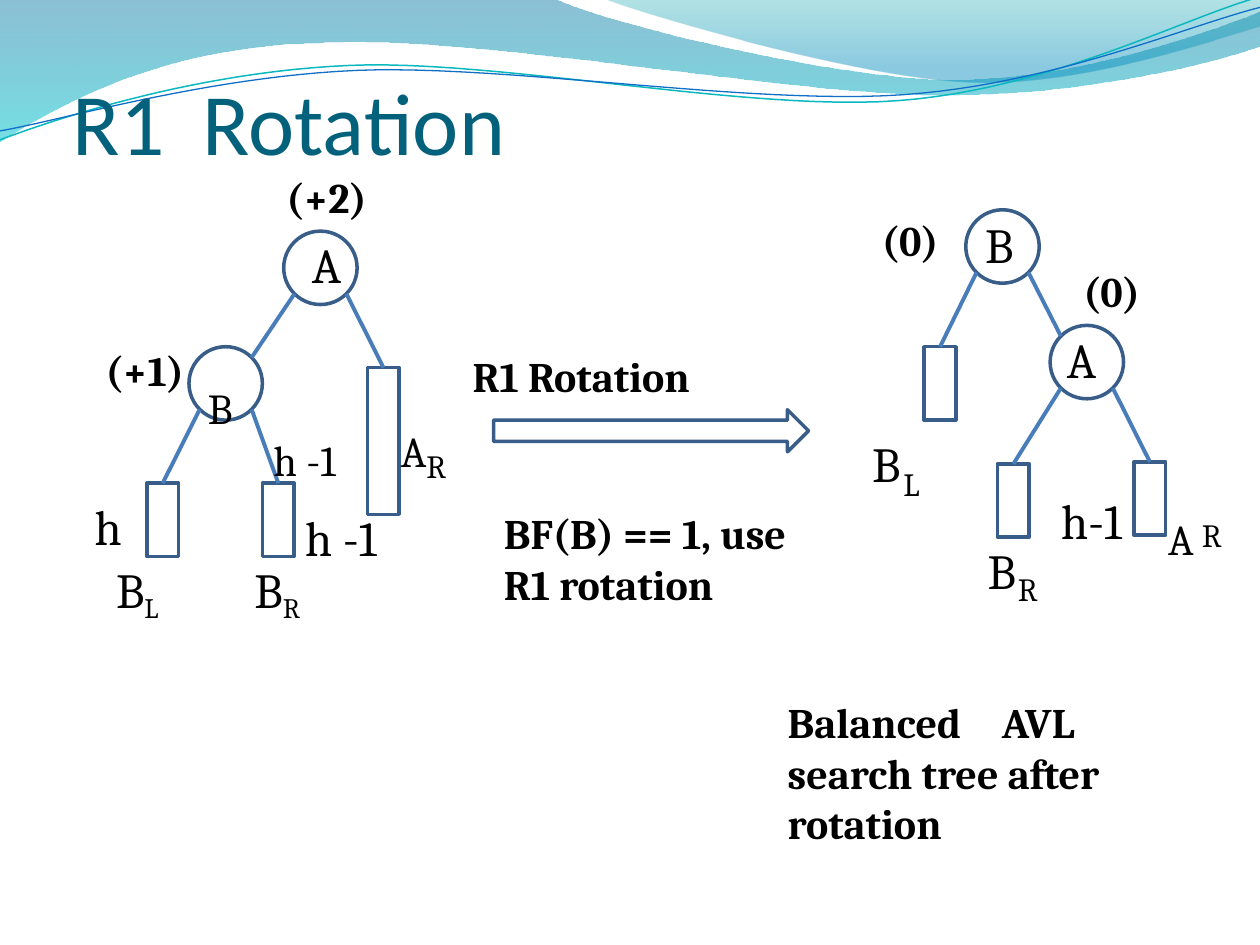
import pptx
import pptx.util
import pptx.dml.color
import pptx.enum.shapes
import pptx.enum.text
from lxml import etree
from pptx.oxml.ns import qn
from pptx.util import Cm

Shapes = pptx.enum.shapes.MSO_SHAPE
NODE = 1.48      # diameter of a node, also the height of a subtree
SUBTREE = 0.64   # width of a subtree
DIAGONAL = NODE / 2 * 0.7071


def color(hex_string):
    return pptx.dml.color.RGBColor.from_string(hex_string)


def curve(start, *pieces, steps=24):
    """Points of a line made of cubic pieces (three points) and straight ones (one point)."""
    points = [start]
    for piece in pieces:
        if len(piece) == 1:
            points.append(piece[0])
            continue
        origin, (first, second, end) = points[-1], piece
        for step in range(1, steps + 1):
            t = step / steps
            u = 1 - t
            points.append(tuple(
                u**3 * a + 3 * u * u * t * b + 3 * u * t * t * c + t**3 * d
                for a, b, c, d in zip(origin, first, second, end)))
    return points


class SlideBuilder:
    text_font = "Cambria"
    outline = "385D89"
    edge_color = "497DBA"

    def __init__(self, slide):
        self.shapes = slide.shapes

    def _freeform(self, points, close):
        points = [(Cm(x), Cm(y)) for x, y in points]
        builder = self.shapes.build_freeform(*points[0], scale=1.0)
        builder.add_line_segments(points[1:], close=close)
        shape = builder.convert_to_shape()
        shape.shadow.inherit = False
        return shape

    def wave(self, points, stops):
        shape = self._freeform(points, True)
        shape.line.fill.background()
        shape.fill.gradient()
        shape.fill.gradient_angle = 270
        for stop, (position, hex_string, alpha) in zip(shape.fill.gradient_stops, stops):
            stop.position = position
            stop.color.rgb = color(hex_string)
        for element, (_, _, alpha) in zip(shape._element.iter(qn("a:srgbClr")), stops):
            etree.SubElement(element, qn("a:alpha"), val=str(alpha * 1000))

    def wave_line(self, points, hex_string, width):
        shape = self._freeform(points, False)
        shape.fill.background()
        shape.line.color.rgb = color(hex_string)
        shape.line.width = pptx.util.Pt(width)

    def outlined(self, kind, x, y, width, height):
        shape = self.shapes.add_shape(kind, Cm(x), Cm(y), Cm(width), Cm(height))
        shape.shadow.inherit = False
        shape.fill.background()
        shape.line.color.rgb = color(self.outline)
        shape.line.width = pptx.util.Pt(2)
        return shape

    def node(self, x, y):
        """Draw a node and return its centre."""
        self.outlined(Shapes.OVAL, x, y, NODE, NODE)
        return x + NODE / 2, y + NODE / 2

    def subtree(self, x, y, height=NODE):
        return self.outlined(Shapes.RECTANGLE, x, y, SUBTREE, height)

    def edge(self, parent, side, child):
        """Join a node to a node centre or a subtree; side is -1 for left, 1 for right."""
        begin = parent[0] + side * DIAGONAL, parent[1] + DIAGONAL
        to_node = isinstance(child, tuple)
        end = (child[0] - side * DIAGONAL, child[1] - DIAGONAL) if to_node else begin
        connector = self.shapes.add_connector(
            pptx.enum.shapes.MSO_CONNECTOR.STRAIGHT, *map(Cm, begin + end))
        if not to_node:
            connector.end_connect(child, 0)
        connector.line.color.rgb = color(self.edge_color)
        connector.line.width = pptx.util.Pt(2.25)
        etree.SubElement(connector._element.spPr, qn("a:effectLst"))

    def text(self, x, y, width, height, *paragraphs, inset=0.03, bottom=False):
        frame = self.shapes.add_textbox(Cm(x), Cm(y), Cm(width), Cm(height)).text_frame
        frame.word_wrap = True
        frame.margin_left = frame.margin_right = frame.margin_bottom = 0
        frame.margin_top = Cm(inset)
        if bottom:
            frame.vertical_anchor = pptx.enum.text.MSO_ANCHOR.BOTTOM
        for index, settings in enumerate(paragraphs):
            paragraph = frame.paragraphs[0] if index == 0 else frame.add_paragraph()
            self._fill_paragraph(paragraph, **settings)

    def _fill_paragraph(self, paragraph, runs, size=28, bold=False, tab=None, indent=0,
                        before=0, center=False, font=text_font, ink="000000"):
        """Runs are a string or a list of (text, size, baseline percent)."""
        properties = paragraph._p.get_or_add_pPr()
        if indent:
            properties.set("marL", str(Cm(indent)))
        if before:
            paragraph.space_before = pptx.util.Pt(before)
        if center:
            paragraph.alignment = pptx.enum.text.PP_ALIGN.CENTER
        if tab:
            tabs = etree.SubElement(properties, qn("a:tabLst"))
            etree.SubElement(tabs, qn("a:tab"), pos=str(Cm(tab)), algn="l")
        paragraph.font.name = font
        paragraph.font.bold = bold
        paragraph.font.color.rgb = color(ink)
        if isinstance(runs, str):
            paragraph.font.size = pptx.util.Pt(size)
            paragraph.add_run().text = runs
            return
        for content, run_size, baseline in runs:
            run = paragraph.add_run()
            run.text = content
            run.font.size = pptx.util.Pt(run_size)
            if baseline:
                run._r.get_or_add_rPr().set("baseline", str(baseline * 1000))

    def label(self, x, y, content, width=0.69):
        self.text(x, y, width, 1.24, dict(runs=content))

    def subscript(self, x, y, content):
        self.text(x, y, 0.48, 0.86, dict(runs=content, size=18.5), inset=0.05)

    def note(self, x, y, width, height, *lines, tab=None):
        self.text(x, y, width, height,
                  *(dict(runs=line, size=24, bold=True, tab=tab) for line in lines))


def main():
    presentation = pptx.Presentation()
    presentation.slide_width, presentation.slide_height = Cm(25.4), Cm(19.05)
    builder = SlideBuilder(presentation.slides.add_slide(presentation.slide_layouts[6]))

    # Waves across the top
    builder.wave(curve(
        (0, 0), [(11.18, -0.03)],
        [(12.09, 0.43), (16.87, 1.6), (19.25, 1.6)], [(21.67, 1.6), (24.33, 0.66), (25.4, 0.23)],
        [(25.43, 0.91)],
        [(24.97, 1.12), (22.1, 1.93), (18.95, 1.91)], [(15.8, 1.91), (9.7, 0.71), (6.53, 0.86)],
        [(3.28, 0.91), (1.17, 2.11), (-0.03, 2.87)]),
        [(0, "0074A1", 45), (1, "00C6CF", 55)])
    builder.wave(curve(
        (12.17, -0.03), [(12.93, 0.28), (17.32, 1.57), (19.53, 1.65)],
        [(21.74, 1.75), (24.41, 0.81), (25.4, 0.53)], [(25.4, 0)]),
        [(0, "00A1A9", 30), (0.8, "008BBF", 45)])
    builder.wave_line(curve(
        (0, 2.82), [(1.22, 2.36), (4.01, 1.45), (7.04, 1.32)],
        [(10.03, 1.19), (15.06, 2.26), (18.11, 2.03)],
        [(21.16, 1.8), (23.83, 0.38), (25.35, -0.05)]), "0AB8BF", 0.85)
    builder.wave_line(curve(
        (0, 2.64), [(1.19, 2.44), (4.17, 1.55), (7.19, 1.42)],
        [(10.24, 1.3), (15.16, 2.13), (18.21, 1.91)],
        [(21.23, 1.7), (23.9, 0.53), (25.4, 0.15)]), "0F6FC6", 0.75)

    # Title
    builder.text(1.47, 1.3, 15.62, 2.18, dict(
        runs="R1\tRotation", size=50, tab=2.62, font="Calibri", ink="04617B"), bottom=True)

    # Tree before the rotation
    root, child = builder.node(5.72, 4.66), builder.node(3.81, 6.99)
    builder.edge(root, -1, child)
    builder.edge(root, 1, builder.subtree(7.41, 7.41, 2 * NODE))
    builder.edge(child, -1, builder.subtree(2.96, 9.74))
    builder.edge(child, 1, builder.subtree(5.29, 9.74))
    builder.text(5.72, 3.2, 1.73, 2.77,
                 dict(runs="(+2)", size=24, bold=True, center=True),
                 dict(runs="A", before=7.5, center=True), inset=0.25)
    builder.text(2.13, 6.91, 2.77, 1.24, dict(runs="(+1)", size=24, bold=True))
    builder.text(4.19, 6.91, 0.71, 1.24, dict(runs=[("B", 42, -9)]))
    builder.text(5.51, 8.13, 3.76, 1.24, dict(
        runs=[("h -1\t", 42, 2), ("A", 42, 14), ("R", 18.5, 0)], tab=2.57))
    builder.label(1.91, 9.98, "h")
    builder.label(6.15, 10.21, "h -1", 1.78)
    builder.text(2.34, 11.25, 3.86, 1.24, dict(
        runs=[("B", 28, 0), ("L\t", 27.8, -21), ("B", 28, 0), ("R", 27.8, -21)], tab=2.79))

    # Rotation step
    builder.outlined(Shapes.RIGHT_ARROW, 9.95, 8.26, 6.35, 0.85)
    builder.note(9.53, 7.04, 4.88, 1.09, "R1 Rotation")
    builder.note(10.16, 10.21, 6.6, 2.11, "BF(B) == 1, use", "R1 rotation")

    # Tree after the rotation
    root, child = builder.node(19.47, 4.23), builder.node(21.17, 6.56)
    builder.edge(root, -1, builder.subtree(18.63, 6.99))
    builder.edge(root, 1, child)
    builder.edge(child, -1, builder.subtree(20.11, 9.35))
    builder.edge(child, 1, builder.subtree(22.86, 9.31))
    builder.note(17.78, 4.29, 1.22, 1.09, "(0)")
    builder.label(19.86, 4.29, "B")
    builder.text(21.51, 5.11, 1.5, 2.77,
                 dict(runs="(0)", size=24, bold=True, indent=0.33),
                 dict(runs="A", before=7.5), inset=0.25)
    builder.label(17.58, 8.71, "B")
    builder.subscript(18.21, 9.3, "L")
    builder.label(19.91, 10.87, "B")
    builder.subscript(20.52, 11.43, "R")
    builder.text(21.39, 9.37, 2.92, 1.24, dict(runs=[("h-1\t", 28, 0), ("A", 42, -22)], tab=2.16))
    builder.subscript(24.23, 10.34, "R")
    builder.note(15.88, 14.02, 7.42, 3.12, "Balanced\tAVL search tree after rotation", tab=4.32)

    presentation.save("out.pptx")


if __name__ == "__main__":
    main()
